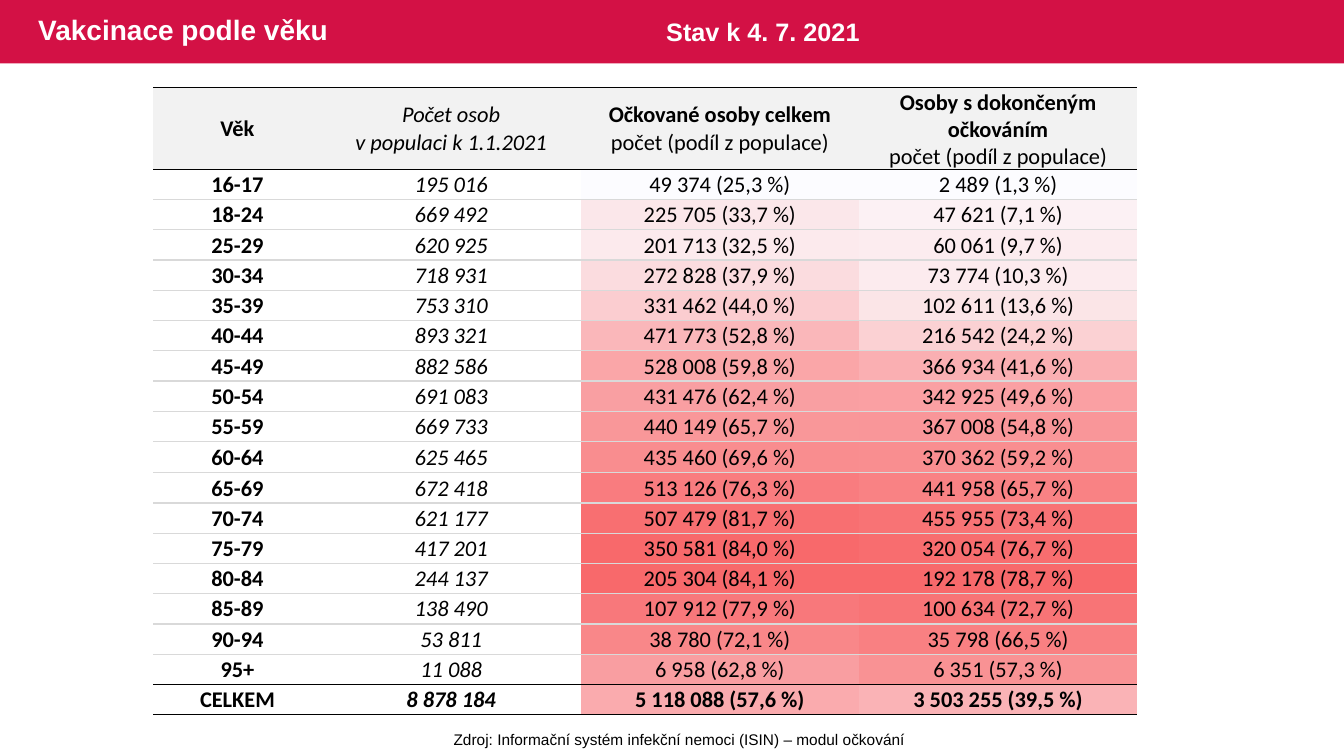
from dataclasses import dataclass
from typing import Optional

from lxml.etree import SubElement
from pptx import Presentation
from pptx.dml.color import RGBColor
from pptx.enum.shapes import MSO_SHAPE
from pptx.enum.text import MSO_ANCHOR, PP_ALIGN
from pptx.oxml.ns import qn
from pptx.util import Emu, Pt

EMU_PER_PX = 9144


@dataclass(frozen=True)
class Theme:
    banner: str = "D31145"
    white: str = "FFFFFF"
    ink: str = "000000"
    rule: str = "D9D9D9"
    header: str = "F2F2F2"
    heat_low: str = "FCFCFF"
    heat_high: str = "F8696B"
    heading_font: str = "Arial"
    table_font: str = "Calibri"
    title_size: int = 20
    date_size: int = 18
    table_size: int = 16
    source_size: int = 11
    rule_width: int = 1
    table_style: str = "{2D5ABB26-0587-4C30-8999-92F81FD0307C}"


@dataclass(frozen=True)
class Box:
    left: int
    top: int
    width: int
    height: int

    def emu(self) -> list[Emu]:
        return [px(n) for n in (self.left, self.top, self.width, self.height)]


@dataclass(frozen=True)
class Line:
    text: str
    size: int
    font: str
    color: str
    bold: bool = False
    italic: bool = False


@dataclass(frozen=True)
class AgeGroup:
    age: str
    population: int
    vaccinated: int
    vaccinated_share: float
    completed: int
    completed_share: float


THEME = Theme()
COLUMNS = [167, 257, 276, 276]
HEADER_HEIGHT = 81
BODY_HEIGHT = 541
TABLE_LEFT, TABLE_TOP = 152, 87

AGE_GROUPS = [
    AgeGroup("16-17", 195016, 49374, 25.3, 2489, 1.3),
    AgeGroup("18-24", 669492, 225705, 33.7, 47621, 7.1),
    AgeGroup("25-29", 620925, 201713, 32.5, 60061, 9.7),
    AgeGroup("30-34", 718931, 272828, 37.9, 73774, 10.3),
    AgeGroup("35-39", 753310, 331462, 44.0, 102611, 13.6),
    AgeGroup("40-44", 893321, 471773, 52.8, 216542, 24.2),
    AgeGroup("45-49", 882586, 528008, 59.8, 366934, 41.6),
    AgeGroup("50-54", 691083, 431476, 62.4, 342925, 49.6),
    AgeGroup("55-59", 669733, 440149, 65.7, 367008, 54.8),
    AgeGroup("60-64", 625465, 435460, 69.6, 370362, 59.2),
    AgeGroup("65-69", 672418, 513126, 76.3, 441958, 65.7),
    AgeGroup("70-74", 621177, 507479, 81.7, 455955, 73.4),
    AgeGroup("75-79", 417201, 350581, 84.0, 320054, 76.7),
    AgeGroup("80-84", 244137, 205304, 84.1, 192178, 78.7),
    AgeGroup("85-89", 138490, 107912, 77.9, 100634, 72.7),
    AgeGroup("90-94", 53811, 38780, 72.1, 35798, 66.5),
    AgeGroup("95+", 11088, 6958, 62.8, 6351, 57.3),
    AgeGroup("CELKEM", 8878184, 5118088, 57.6, 3503255, 39.5),
]


def px(length: int) -> Emu:
    return Emu(length * EMU_PER_PX)


def rgb(color: str) -> RGBColor:
    return RGBColor.from_string(color)


def split_evenly(total: int, parts: int) -> list[int]:
    edges = [round(total * i / parts) for i in range(parts + 1)]
    return [end - start for start, end in zip(edges, edges[1:])]


def count(number: int) -> str:
    return f"{number:,}".replace(",", " ")


def count_with_share(number: int, share: float) -> str:
    return f"{count(number)} ({share:.1f} %)".replace(".", ",")


def heat_color(share: float, shares: list[float]) -> RGBColor:
    position = (share - min(shares)) / (max(shares) - min(shares))
    ends = zip(rgb(THEME.heat_low), rgb(THEME.heat_high))
    return RGBColor(*(round(low + (high - low) * position) for low, high in ends))


def write_line(paragraph, line: Line) -> None:
    run = paragraph.add_run()
    run.text = line.text
    run.font.name = line.font
    run.font.size = Pt(line.size)
    run.font.bold = line.bold
    run.font.italic = line.italic
    run.font.color.rgb = rgb(line.color)


def add_label(slide, box: Box, line: Line, align=PP_ALIGN.LEFT, anchor=MSO_ANCHOR.TOP,
              wrap: bool = True, spacing: Optional[float] = None) -> None:
    frame = slide.shapes.add_textbox(*box.emu()).text_frame
    frame.word_wrap = wrap
    frame.vertical_anchor = anchor
    paragraph = frame.paragraphs[0]
    paragraph.alignment = align
    paragraph.line_spacing = spacing
    write_line(paragraph, line)


def add_grid(slide, left: int, top: int, columns: list[int], rows: list[int]):
    box = Box(left, top, sum(columns), sum(rows))
    table = slide.shapes.add_table(len(rows), len(columns), *box.emu()).table
    table.first_row = table.horz_banding = False
    table._tbl.tblPr.find(qn("a:tableStyleId")).text = THEME.table_style
    for column, width in zip(table.columns, columns):
        column.width = px(width)
    for row, height in zip(table.rows, rows):
        row.height = px(height)
    for cell in table.iter_cells():
        cell.margin_left = cell.margin_right = cell.margin_top = px(1)
        cell.margin_bottom = 0
        cell.vertical_anchor = MSO_ANCHOR.MIDDLE
    return table


def set_border(cell, side: str, color: str) -> None:
    border = SubElement(cell._tc.get_or_add_tcPr(), qn(f"a:{side}"), w=str(Pt(THEME.rule_width)))
    SubElement(SubElement(border, qn("a:solidFill")), qn("a:srgbClr"), val=color)


def add_heat_map(slide, row_heights: list[int]) -> None:
    table = add_grid(slide, TABLE_LEFT + sum(COLUMNS[:2]), TABLE_TOP + HEADER_HEIGHT,
                     COLUMNS[2:], row_heights)
    share_columns = [[g.vaccinated_share for g in AGE_GROUPS], [g.completed_share for g in AGE_GROUPS]]
    for c, shares in enumerate(share_columns):
        for r, share in enumerate(shares):
            cell = table.cell(r, c)
            cell.fill.solid()
            cell.fill.fore_color.rgb = heat_color(share, shares)
            SubElement(cell.text_frame.paragraphs[0]._p, qn("a:endParaRPr"), sz="1100")


def table_line(text: str, bold: bool = False, italic: bool = False) -> Line:
    return Line(text, THEME.table_size, THEME.table_font, THEME.ink, bold, italic)


def table_content() -> list[list[list[Line]]]:
    share_note = table_line("počet (podíl z populace)")
    content = [[
        [table_line("Věk", bold=True)],
        [table_line("Počet osob", italic=True), table_line("v populaci k 1.1.2021", italic=True)],
        [table_line("Očkované osoby celkem", bold=True), share_note],
        [table_line("Osoby s dokončeným očkováním", bold=True), share_note],
    ]]
    for group in AGE_GROUPS:
        total = group is AGE_GROUPS[-1]
        content.append([
            [table_line(group.age, bold=True)],
            [table_line(count(group.population), total, italic=True)],
            [table_line(count_with_share(group.vaccinated, group.vaccinated_share), total)],
            [table_line(count_with_share(group.completed, group.completed_share), total)],
        ])
    return content


def add_age_table(slide, row_heights: list[int]) -> None:
    table = add_grid(slide, TABLE_LEFT, TABLE_TOP, COLUMNS, [HEADER_HEIGHT, *row_heights])
    last = len(row_heights)
    dark_edges = {0, 1, last, last + 1}
    for r, row in enumerate(table_content()):
        for c, lines in enumerate(row):
            cell = table.cell(r, c)
            for i, line in enumerate(lines):
                frame = cell.text_frame
                paragraph = frame.add_paragraph() if i else frame.paragraphs[0]
                paragraph.alignment = PP_ALIGN.CENTER
                write_line(paragraph, line)
            for side, edge in (("lnT", r), ("lnB", r + 1)):
                set_border(cell, side, THEME.ink if edge in dark_edges else THEME.rule)
            if r == 0:
                cell.fill.solid()
                cell.fill.fore_color.rgb = rgb(THEME.header)
            else:
                cell.fill.background()


def main() -> None:
    deck = Presentation()
    deck.slide_width, deck.slide_height = px(1333), px(750)
    slide = deck.slides.add_slide(deck.slide_layouts[6])

    banner = slide.shapes.add_shape(MSO_SHAPE.RECTANGLE, *Box(0, 0, 1333, 63).emu())
    banner.shadow.inherit = False
    banner.fill.solid()
    banner.fill.fore_color.rgb = rgb(THEME.banner)
    banner.line.fill.background()

    row_heights = split_evenly(BODY_HEIGHT, len(AGE_GROUPS))
    add_heat_map(slide, row_heights)
    add_label(slide, Box(28, 0, 813, 63),
              Line("Vakcinace podle věku", THEME.title_size, THEME.heading_font, THEME.white, bold=True),
              anchor=MSO_ANCHOR.MIDDLE, spacing=0.9)
    add_label(slide, Box(651, 11, 296, 40),
              Line("Stav k 4. 7. 2021", THEME.date_size, THEME.heading_font, THEME.white, bold=True))
    add_label(slide, Box(439, 719, 470, 29),
              Line("Zdroj: Informační systém infekční nemoci (ISIN) – modul očkování",
                   THEME.source_size, THEME.heading_font, THEME.ink),
              align=PP_ALIGN.CENTER, wrap=False)
    add_age_table(slide, row_heights)
    deck.save("out.pptx")


if __name__ == "__main__":
    main()
